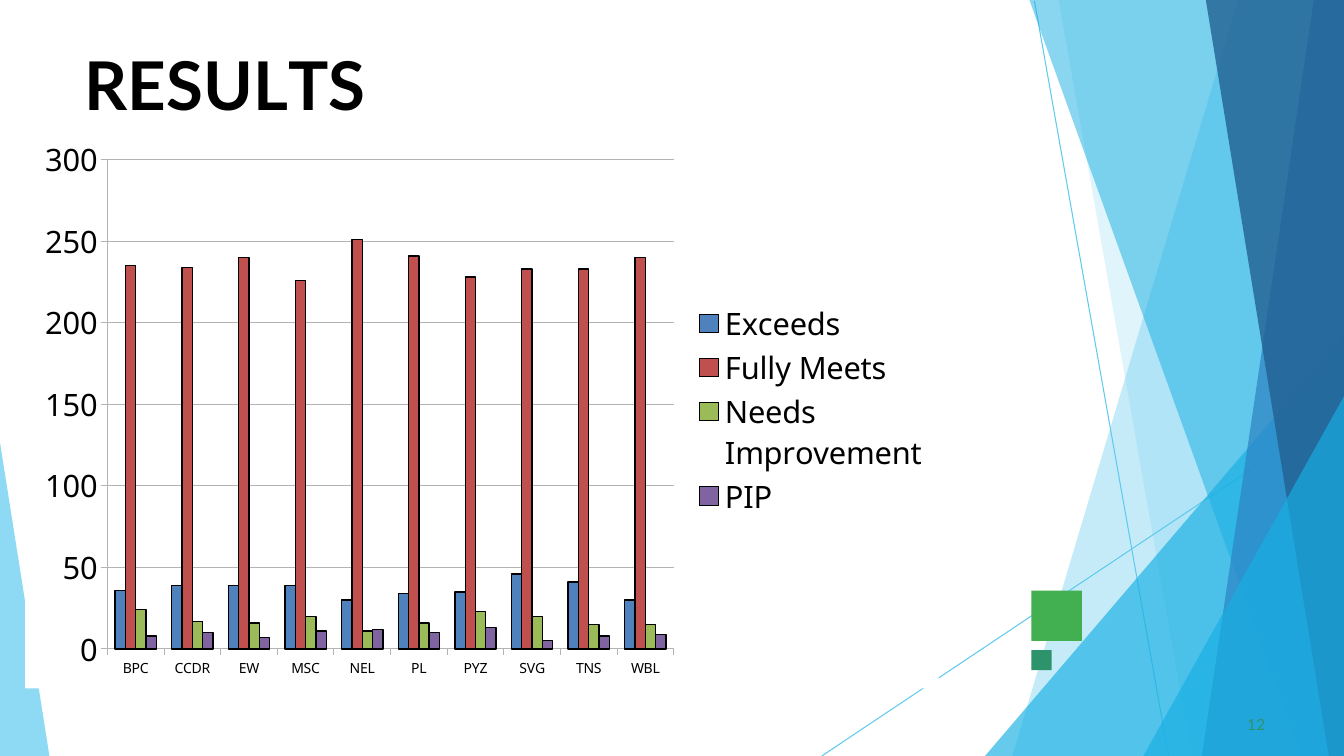
from pptx import Presentation
from pptx.chart.data import CategoryChartData
from pptx.dml.color import RGBColor
from pptx.enum.chart import XL_CHART_TYPE, XL_LEGEND_POSITION, XL_TICK_MARK
from pptx.enum.shapes import MSO_CONNECTOR, MSO_SHAPE
from pptx.enum.text import MSO_ANCHOR, MSO_AUTO_SIZE, PP_ALIGN
from pptx.oxml import parse_xml
from pptx.oxml.ns import nsdecls, qn
from pptx.util import Pt

COLUMN = XL_CHART_TYPE.COLUMN_CLUSTERED
RIGHT = XL_LEGEND_POSITION.RIGHT
OUT, NONE = XL_TICK_MARK.OUTSIDE, XL_TICK_MARK.NONE
STRAIGHT, RECT = MSO_CONNECTOR.STRAIGHT, MSO_SHAPE.RECTANGLE
TOP, LEFT, FIXED = MSO_ANCHOR.TOP, PP_ALIGN.LEFT, MSO_AUTO_SIZE.NONE
SCALE = 9144
WIDE, HIGH = 1333, 750
COLORS = {
    "black": "000000", "white": "FFFFFF", "grid": "B3B3B3",
    "sky": "5FCAEE", "cyan": "17AFE3", "blue": "2D83C3", "navy": "226192",
    "green": "42AF51", "teal": "2D936B",
    "exceeds": "4F81BD", "meets": "C0504D", "needs": "9BBB59", "pip": "8064A2",
}
FACETS = [
    ([(WIDE, 0), (1228, 0), (1004, HIGH), (WIDE, HIGH)], "sky", 36),
    ([(WIDE, 0), (1050, 0), (1182, HIGH), (WIDE, HIGH)], "sky", 20),
    ([(WIDE, 333), (977, HIGH), (WIDE, HIGH)], "cyan", 66),
    ([(WIDE, 0), (1021, 0), (1291, HIGH), (WIDE, HIGH)], "cyan", 50),
    ([(WIDE, 0), (1303, 0), (1192, HIGH), (WIDE, HIGH)], "blue", 70),
    ([(WIDE, 0), (1196, 0), (1318, HIGH), (WIDE, HIGH)], "navy", 80),
    ([(WIDE, 393), (1134, HIGH), (WIDE, HIGH)], "cyan", 66),
    ([(0, 439), (0, HIGH), (49, HIGH)], "sky", 70),
]
UNITS = ["BPC", "CCDR", "EW", "MSC", "NEL", "PL", "PYZ", "SVG", "TNS", "WBL"]
SCORES = [
    ("Exceeds", "exceeds", [36, 39, 39, 39, 30, 34, 35, 46, 41, 30]),
    ("Fully Meets", "meets", [235, 234, 240, 226, 251, 241, 228, 233, 233, 240]),
    ("Needs Improvement", "needs", [24, 17, 16, 20, 11, 16, 23, 20, 15, 15]),
    ("PIP", "pip", [8, 10, 7, 11, 12, 10, 13, 5, 8, 9]),
]


def px(*vals):
    return [val * SCALE for val in vals]


def rgb(name):
    return RGBColor.from_string(COLORS[name])


class Deck:
    def __init__(self):
        self.file = Presentation()
        self.file.slide_width, self.file.slide_height = px(WIDE, HIGH)
        self.slide = self.file.slides.add_slide(self.file.slide_layouts[5])
        self.shapes = self.slide.shapes
        self.face, self.chart_face = "Lato", "Noto Sans"

    def paint(self, shape, color, alpha=100):
        shape.shadow.inherit = False
        shape.line.fill.background()
        shape.fill.solid()
        shape.fill.fore_color.rgb = rgb(color)
        if alpha < 100:
            tone = next(shape._element.spPr.iter(qn("a:srgbClr")))
            tone.append(parse_xml(f'<a:alpha {nsdecls("a")} val="{alpha * 1000}"/>'))

    def facet(self, points, color, alpha):
        form = self.shapes.build_freeform(*points[0], scale=SCALE)
        form.add_line_segments(points[1:], close=True)
        self.paint(form.convert_to_shape(), color, alpha)

    def box(self, left, top, side, color):
        self.paint(self.shapes.add_shape(RECT, *px(left, top, side, side)), color)

    def line(self, *ends):
        rule = self.shapes.add_connector(STRAIGHT, *px(*ends))
        rule.line.color.rgb = rgb("sky")
        rule.line.width = Pt(0.75)
        rule._element.spPr.append(parse_xml(f'<a:effectLst {nsdecls("a")}/>'))

    def text(self, shape, runs, size, color, bold, before, inset):
        frame = shape.text_frame
        frame.word_wrap, frame.auto_size = True, FIXED
        frame.vertical_anchor = TOP
        frame.margin_left, frame.margin_top = px(inset, 1)
        frame.margin_right = frame.margin_bottom = 0
        para = frame.paragraphs[0]
        para.alignment, para.space_before = LEFT, Pt(before)
        for words, gap in runs:
            run = para.add_run()
            run.text = words
            font = run.font
            font.name, font.size, font.bold = self.face, Pt(size), bold
            font.color.rgb = rgb(color)
            run._r.get_or_add_rPr().set("spc", str(gap))

    def title(self, runs, area):
        head = self.shapes.title
        head.left, head.top, head.width, head.height = px(*area)
        self.text(head, runs, 48, "black", True, 1, 1)

    def label(self, words, area):
        note = self.shapes.add_textbox(*px(*area))
        self.text(note, [(words, 10)], 11, "teal", False, 0.6, 4)

    def place(self, part, spot, rect, inner=""):
        for old in part.findall(qn("c:layout")):
            part.remove(old)
        keys = zip("xywh", rect)
        tail = "".join(f'<c:{key} val="{val}"/>' for key, val in keys)
        part.insert(spot, parse_xml(
            f'<c:layout {nsdecls("c")}><c:manualLayout>{inner}'
            f'<c:xMode val="edge"/><c:yMode val="edge"/>{tail}'
            '</c:manualLayout></c:layout>'))

    def style(self, font, size):
        font.name, font.size, font.bold = self.chart_face, Pt(size), False
        font.color.rgb = rgb("black")

    def axis(self, axis, size):
        self.style(axis.tick_labels.font, size)
        axis.major_tick_mark, axis.minor_tick_mark = OUT, NONE
        axis.format.line.color.rgb = rgb("grid")

    def chart(self, area):
        data = CategoryChartData()
        data.categories = UNITS
        for name, color, vals in SCORES:
            data.add_series(name, vals)
        chart = self.shapes.add_chart(COLUMN, *px(*area), data).chart
        self.style(chart.font, 10)
        chart.has_title = False
        plot = chart.plots[0]
        plot.gap_width, plot.overlap, plot.vary_by_categories = 150, 0, False
        for bar, (name, color, vals) in zip(plot.series, SCORES):
            bar.format.fill.solid()
            bar.format.fill.fore_color.rgb = rgb(color)
            bar.format.line.color.rgb = rgb("black")
            bar.format.line.width = Pt(1)
        self.axis(chart.category_axis, 10)
        scale = chart.value_axis
        self.axis(scale, 22)
        scale.minimum_scale, scale.maximum_scale, scale.major_unit = 0, 300, 50
        scale.has_major_gridlines = True
        scale.major_gridlines.format.line.color.rgb = rgb("grid")
        chart.has_legend = True
        key = chart.legend
        key.position, key.include_in_layout = RIGHT, False
        self.style(key.font, 22)
        body = chart._chartSpace.find(qn("c:chart"))
        inner = '<c:layoutTarget val="inner"/>'
        self.place(body.find(qn("c:plotArea")), 0, (0.09, 0.06, 0.62, 0.87), inner)
        self.place(body.find(qn("c:legend")), 1, (0.73, 0.31, 0.26, 0.39))
        body.addnext(parse_xml(
            f'<c:spPr {nsdecls("c", "a")}><a:solidFill><a:srgbClr val="{COLORS["white"]}"/>'
            '</a:solidFill><a:ln><a:noFill/></a:ln></c:spPr>'))


def main():
    deck = Deck()
    deck.line(1026, 1, 1159, HIGH)
    deck.line(WIDE, 404, 815, HIGH)
    for facet in FACETS:
        deck.facet(*facet)
    deck.box(1023, 586, 50, "green")
    deck.box(1023, 645, 20, "teal")
    runs = [("R", 0), ("E", -40), ("S", 10), ("U", -30), ("L", -400), ("TS", 0)]
    deck.title(runs, (83, 42, 1168, 83))
    deck.label("12", (1233, 708, 25, 21))
    deck.chart((25, 125, 906, 558))
    deck.file.save("out.pptx")


if __name__ == "__main__":
    main()
